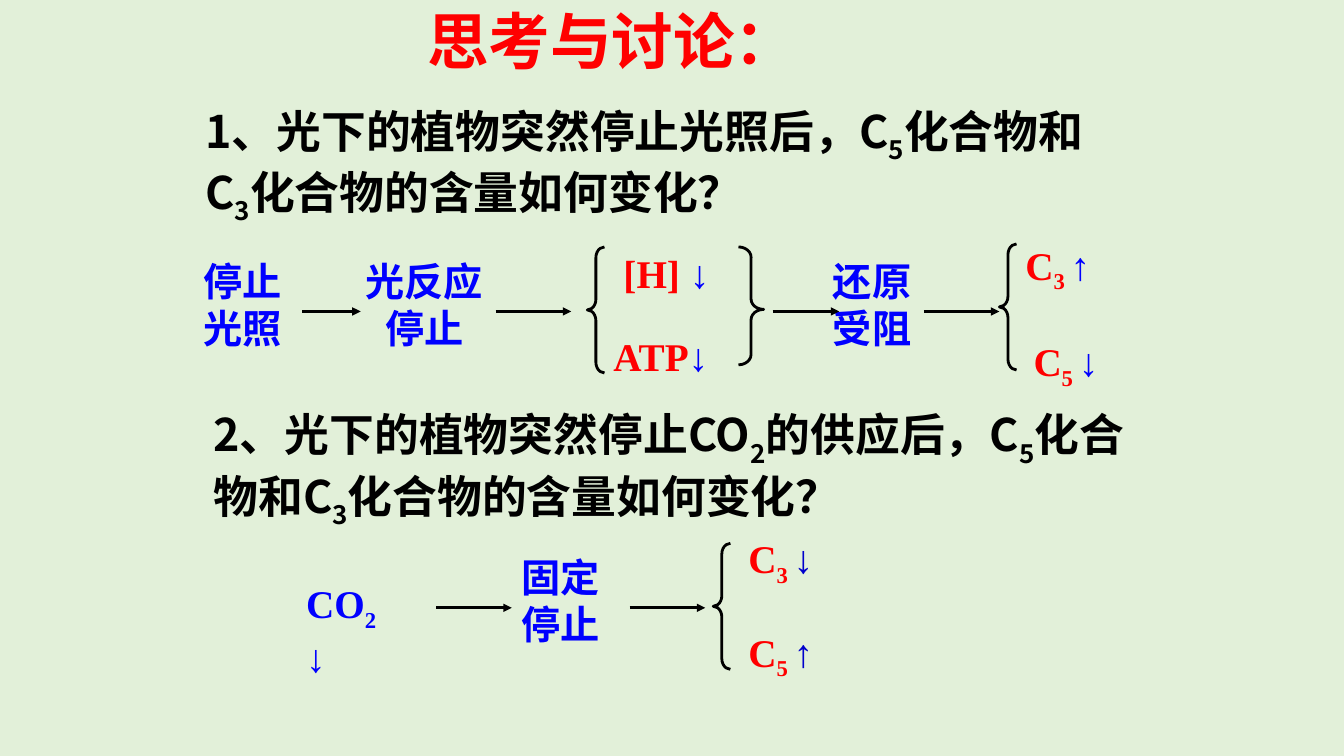
import pptx
import pptx.util
import pptx.dml.color
import pptx.enum.shapes
import pptx.enum.text
import pptx.oxml.ns
import lxml.etree

Inches = pptx.util.Inches
Shape = pptx.enum.shapes.MSO_SHAPE
Align = pptx.enum.text.PP_ALIGN
HUES = {"back": "E2F0D9", "ink": "000000", "red": "FF0000", "blue": "0000FF", "navy": "0000CC"}
HEAD = {"name": "Calibri", "size": pptx.util.Pt(44), "bold": True}
ASK = {"name": "Noto Sans CJK SC", "size": pptx.util.Pt(32), "bold": True}
NOTE = {"name": "Times New Roman", "size": pptx.util.Pt(28), "bold": True}


def hue(name):
    return pptx.dml.color.RGBColor.from_string(HUES[name])


def child(node, tag, **vals):
    return lxml.etree.SubElement(node, pptx.oxml.ns.qn(tag), **vals)


class Board:
    def __init__(self, slide):
        self.slide = slide
        self.width = pptx.util.Pt(2)
        fill = slide.background.fill
        fill.solid()
        fill.fore_color.rgb = hue("back")

    def text(self, box, parts, style=NOTE, align=Align.LEFT, wrap=True):
        frame = self.slide.shapes.add_textbox(*map(Inches, box)).text_frame
        form = {"word_wrap": wrap, "auto_size": pptx.enum.text.MSO_AUTO_SIZE.SHAPE_TO_FIT_TEXT}
        for key, val in form.items():
            setattr(frame, key, val)
        para = frame.paragraphs[0]
        para.alignment = align
        for words, tint in parts:
            for spot, piece in enumerate(words.split("_")):
                if piece:
                    self.run(para, piece, tint, style, spot % 2 == 1)

    def run(self, para, words, tint, style, low):
        run = para.add_run()
        run.text = words
        for key, val in style.items():
            setattr(run.font, key, val)
        run.font.color.rgb = hue(tint)
        props = run.font._element
        child(props, "a:ea", typeface="Noto Sans CJK SC")
        if low:
            props.set("baseline", "-25000")

    def arrow(self, left, right, top):
        ends = map(Inches, (left, top, right, top))
        link = self.slide.shapes.add_connector(pptx.enum.shapes.MSO_CONNECTOR.STRAIGHT, *ends)
        link.line.color.rgb = hue("ink")
        link.line.width = self.width
        child(link.line._get_or_add_ln(), "a:tailEnd", type="triangle")
        child(link._element.spPr, "a:effectLst")

    def brace(self, kind, box, bend, mid=0.5):
        shape = self.slide.shapes.add_shape(kind, *map(Inches, box))
        shape.shadow.inherit = False
        shape.fill.background()
        shape.line.color.rgb = hue("ink")
        shape.line.width = self.width
        shape.adjustments[0] = bend
        shape.adjustments[1] = mid


def main():
    deck = pptx.Presentation()
    deck.slide_width = Inches(13.34)
    deck.slide_height = Inches(7.5)
    board = Board(deck.slides.add_slide(deck.slide_layouts[6]))

    board.text((3.36, -0.02, 5.43, 0.84), [("思考与讨论：", "red")], HEAD, Align.CENTER)
    asks = [
        ((1.94, 0.98, 9.13, 1.32), "1、光下的植物突然停止光照后，C_5_化合物和C_3_化合物的含量如何变化？"),
        ((2.02, 3.99, 9.41, 1.32), "2、光下的植物突然停止CO_2_的供应后，C_5_化合物和C_3_化合物的含量如何变化？"),
    ]
    for box, words in asks:
        board.text(box, [(words, "ink")], ASK)

    steps = [
        (1.92, 2.5, 1.17, "停止光照", Align.LEFT),
        (3.42, 2.5, 1.58, "光反应停止", Align.CENTER),
        (8.17, 2.5, 1.33, "还原受阻", Align.LEFT),
        (5.08, 5.44, 1.33, "固定停止", Align.LEFT),
    ]
    for left, top, wide, words, align in steps:
        board.text((left, top, wide, 1.04), [(words, "blue")], align=align)

    labels = [
        ((6.09, 2.42, 1.15, 0.57), "[H] ", "red", "↓", "blue"),
        ((5.99, 3.25, 1.17, 0.57), "ATP", "red", "↓", "blue"),
        ((10.08, 2.34, 1.26, 0.63), "C_3 _", "red", "↑", "blue"),
        ((10.16, 3.3, 0.84, 0.63), "C_5 _", "red", "↓", "blue"),
        ((2.94, 5.7, 1.14, 0.63), "CO_2 _", "blue", "↓", "blue"),
        ((7.33, 5.25, 0.84, 0.63), "C_3 _", "red", "↓", "navy"),
        ((7.33, 6.18, 0.84, 0.63), "C_5 _", "red", "↑", "navy"),
    ]
    for box, words, tint, sign, tone in labels:
        board.text(box, [(words, tint), (sign, tone)], wrap=box[2] == 1.26)

    rows = {
        3.09: [(3, 3.58), (4.92, 5.67), (7.67, 8.33), (9.17, 9.92)],
        6.03: [(4.33, 5.08), (6.25, 7)],
    }
    for top, spans in rows.items():
        for left, right in spans:
            board.arrow(left, right, top)

    for left, top in [(5.83, 2.45), (9.92, 2.42), (7.08, 5.39)]:
        board.brace(Shape.LEFT_BRACE, (left, top, 0.17, 1.25), 0.62)
    board.brace(Shape.RIGHT_BRACE, (7.33, 2.45, 0.25, 1.17), 0.41, 0.53)

    deck.save("out.pptx")


if __name__ == "__main__":
    main()
